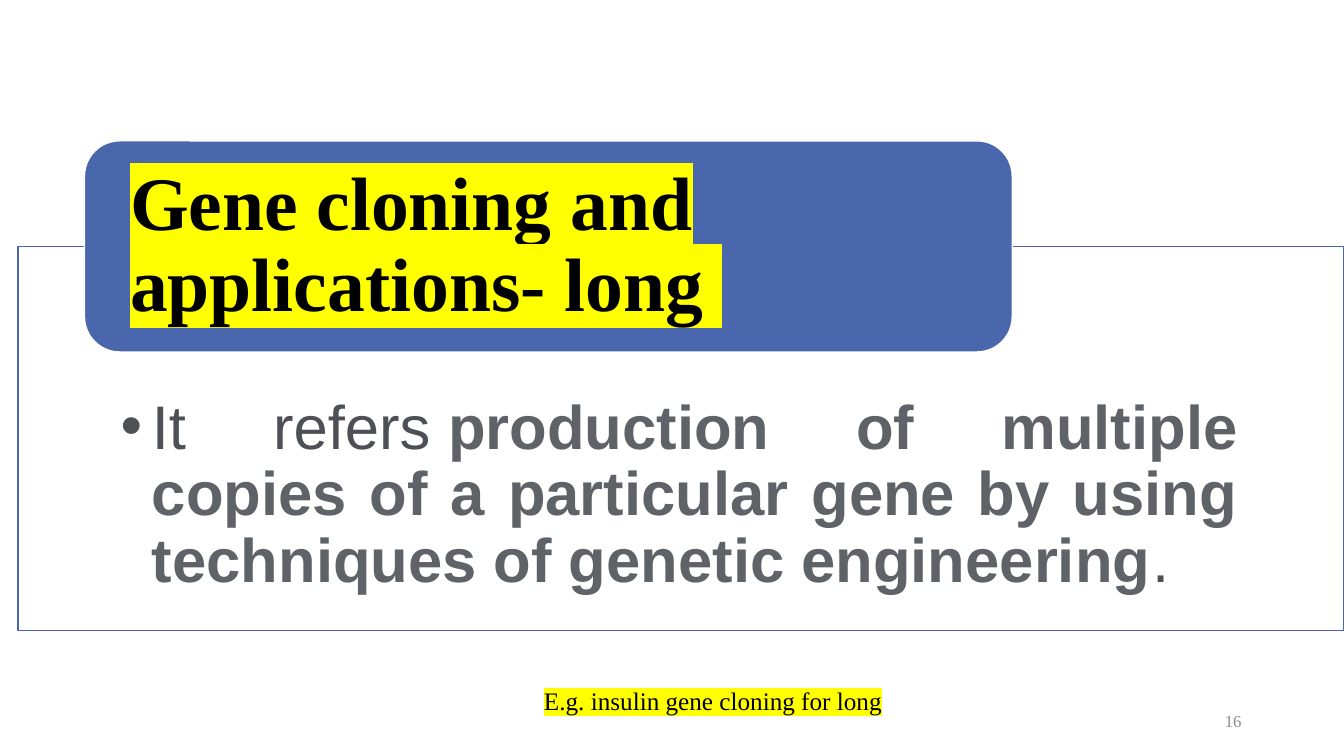
import pptx
import pptx.util
import pptx.dml.color
import pptx.enum.shapes
import pptx.enum.text
import pptx.oxml.ns
import lxml.etree

Cm, Pt = pptx.util.Cm, pptx.util.Pt
SHAPE = pptx.enum.shapes.MSO_SHAPE
ALIGN = pptx.enum.text.PP_ALIGN
ANCHOR = pptx.enum.text.MSO_ANCHOR
FIT = pptx.enum.text.MSO_AUTO_SIZE
qn = pptx.oxml.ns.qn

HEX = {"white": "FFFFFF", "blue": "4A66AC", "black": "000000", "mark": "FFFF00",
       "dark": "4D5156", "slate": "5F6368", "gray": "8C8C8C"}
SERIF, SANS = "Times New Roman", "Arial"

TITLE = [("Gene cloning and applications- long ", "black", True)]
BODY = [
    ("It refers\u00a0", "dark", False),
    ("production of multiple copies of a particular gene by using "
     "techniques of genetic engineering", "slate", True),
    (".", "dark", False),
]
CASE = [("E.g. insulin gene cloning for long", "black", False)]
PAGE = [("16", "gray", False)]

FRAME = (0.45, 6.22, 33.41, 9.67)
BANNER = (2.13, 3.55, 23.38, 5.32)
NOTE = (13.46, 17.14, 9.25, 1.02)
FOOT = (23.92, 17.65, 7.62, 1.02)


def tint(name):
    return pptx.dml.color.RGBColor.from_string(HEX[name])


def panel(slide, kind, box, fill, line):
    shape = slide.shapes.add_shape(kind, *map(Cm, box))
    shape.shadow.inherit = False
    shape.fill.solid()
    shape.fill.fore_color.rgb = tint(fill)
    shape.line.color.rgb = tint(line)
    shape.line.width = Pt(1)
    return shape


def write(shape, runs, size, face, align=ALIGN.LEFT, anchor=ANCHOR.TOP,
          pad=(0.25, 0.13, 0.25, 0.13), space=1.0, mark=None, bullet=None,
          wrap=True, fit=FIT.NONE):
    frame = shape.text_frame
    frame.word_wrap = wrap
    frame.auto_size = fit
    frame.vertical_anchor = anchor
    (frame.margin_left, frame.margin_top,
     frame.margin_right, frame.margin_bottom) = map(Cm, pad)
    para = frame.paragraphs[0]
    para.alignment = align
    para.line_spacing = space
    if bullet:
        prop = para._p.get_or_add_pPr()
        prop.set("marL", str(Cm(0.79)))
        prop.set("indent", str(-Cm(0.79)))
        lxml.etree.SubElement(prop, qn("a:buFont")).set("typeface", face)
        lxml.etree.SubElement(prop, qn("a:buChar")).set("char", bullet)
    for text, color, bold in runs:
        run = para.add_run()
        run.text = text
        font = run.font
        font.size, font.bold, font.name = Pt(size), bold, face
        font.color.rgb = tint(color)
        if mark:
            glow = lxml.etree.Element(qn("a:highlight"))
            lxml.etree.SubElement(glow, qn("a:srgbClr")).set("val", HEX[mark])
            run._r.rPr.find(qn("a:solidFill")).addnext(glow)


def main():
    deck = pptx.Presentation()
    deck.slide_width, deck.slide_height = Cm(33.87), Cm(19.05)
    slide = deck.slides.add_slide(deck.slide_layouts[6])

    page = slide.shapes.add_textbox(*map(Cm, FOOT))
    write(page, PAGE, 12, SERIF, align=ALIGN.RIGHT, anchor=ANCHOR.MIDDLE)

    body = panel(slide, SHAPE.RECTANGLE, FRAME, "white", "blue")
    write(body, BODY, 44, SANS, align=ALIGN.JUSTIFY, space=0.9,
          pad=(2.59, 3.76, 2.64, 0.86), bullet="•")

    title = panel(slide, SHAPE.ROUNDED_RECTANGLE, BANNER, "blue", "white")
    write(title, TITLE, 54, SERIF, anchor=ANCHOR.MIDDLE, space=0.9,
          pad=(0.89, 0, 0.89, 0), mark="mark")

    case = slide.shapes.add_textbox(*map(Cm, NOTE))
    write(case, CASE, 18, SERIF, mark="mark", wrap=False,
          fit=FIT.SHAPE_TO_FIT_TEXT)

    deck.save("out.pptx")


if __name__ == "__main__":
    main()
